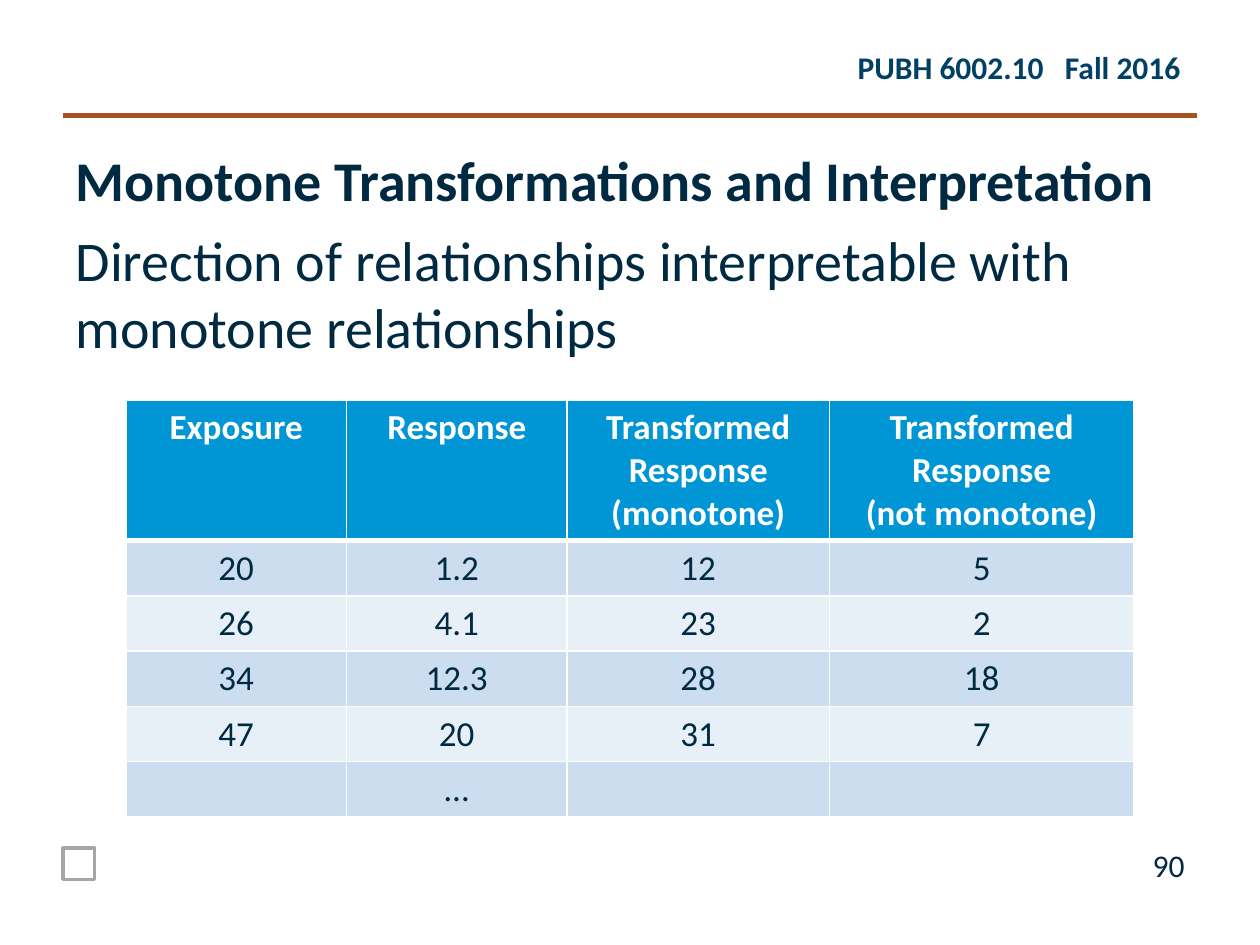
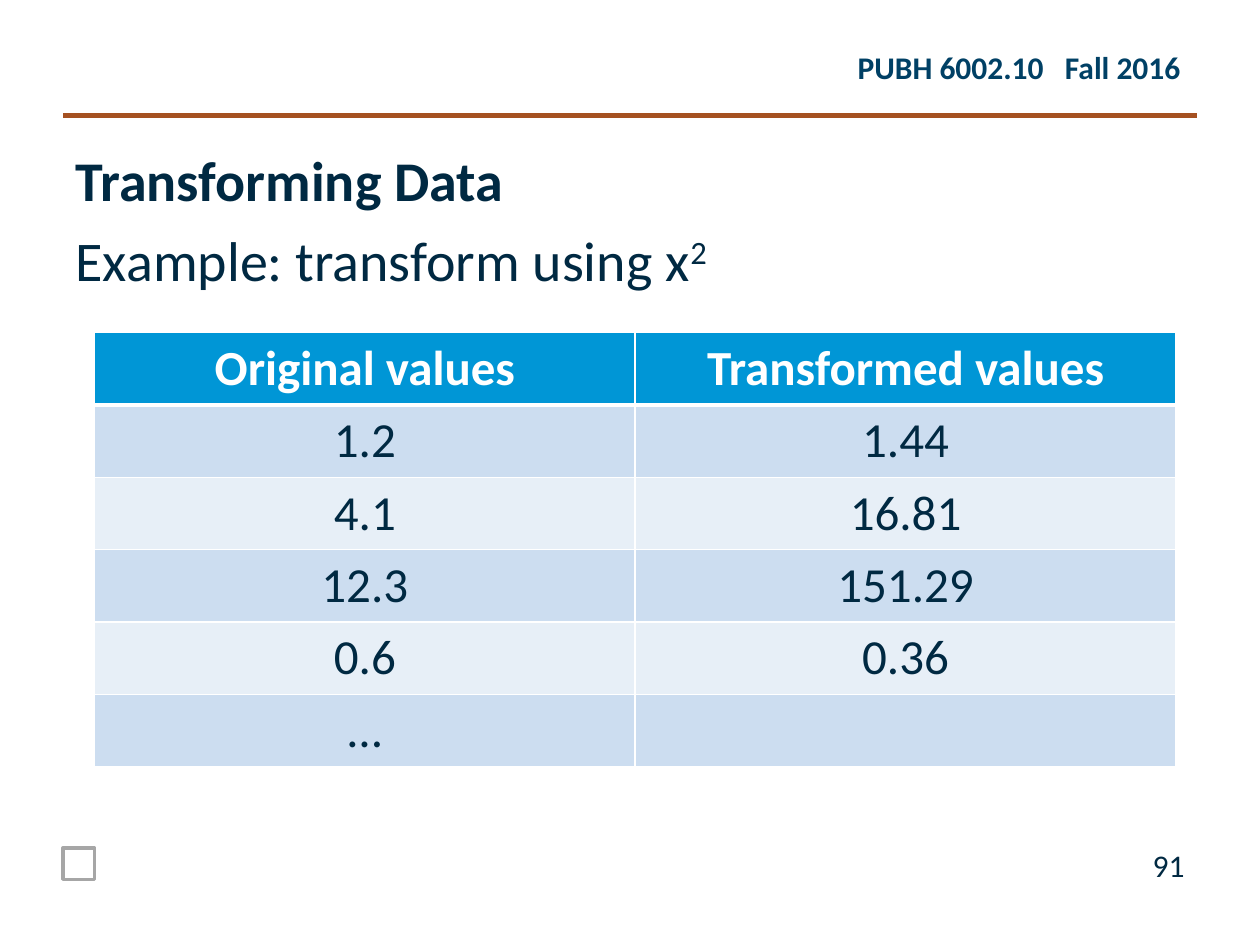
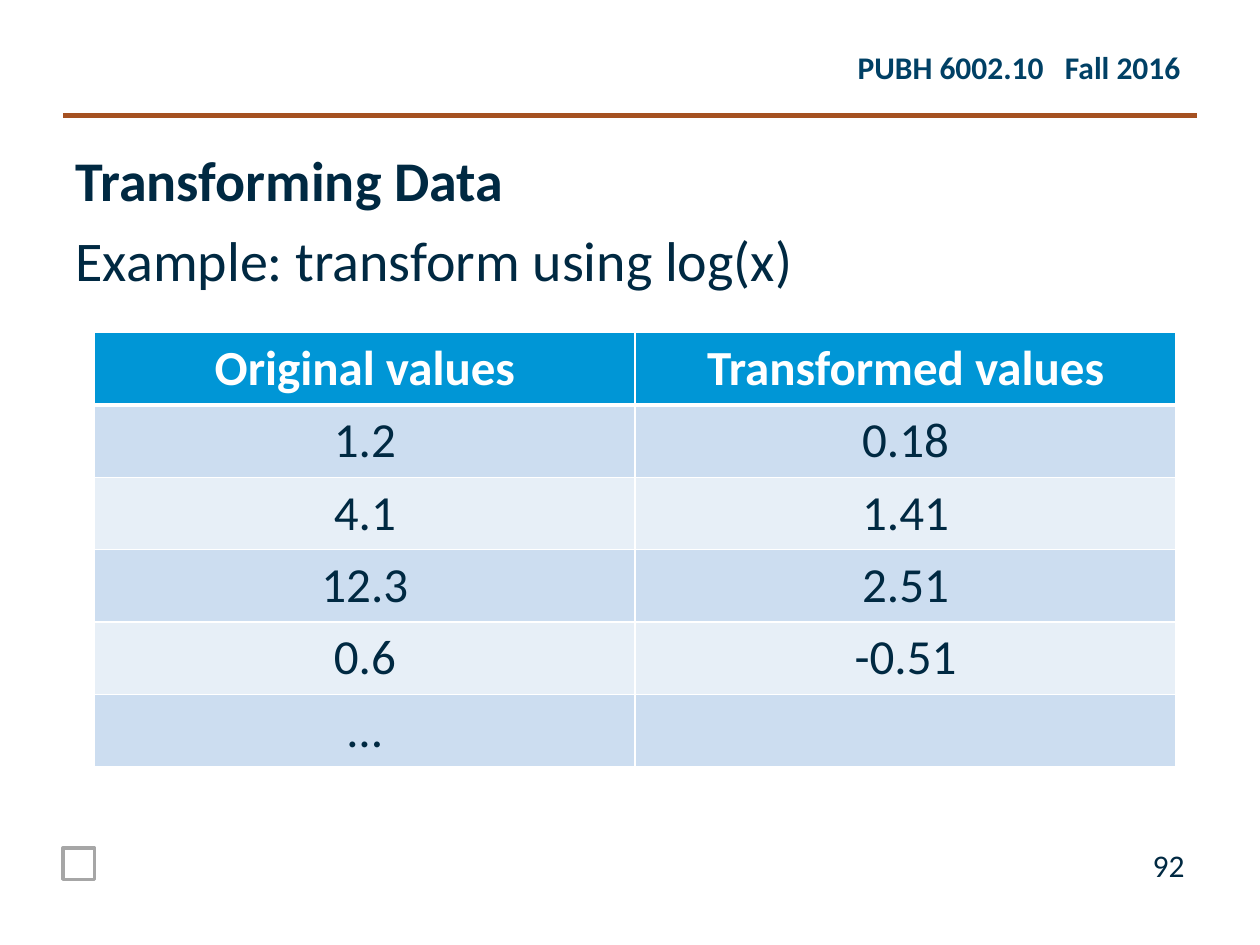
from lxml import etree
from pptx import Presentation
from pptx.dml.color import RGBColor
from pptx.enum import shapes, text
from pptx.oxml import ns
from pptx.util import Pt

FONT = "Calibri"
NAVY = RGBColor(0x00, 0x29, 0x42)
BLUE = RGBColor(0x00, 0x40, 0x65)
RUST = RGBColor(0xA5, 0x51, 0x21)
GRAY = RGBColor(0xA6, 0xA6, 0xA6)
WHITE = RGBColor(0xFF, 0xFF, 0xFF)
HEADER_FILL = RGBColor(0x00, 0x96, 0xD6)
BAND_FILLS = RGBColor(0xCC, 0xDD, 0xF0), RGBColor(0xE7, 0xEF, 0xF7)

LEFT, WIDTH = 36, 648
TITLE_TOP, BODY_TOP = 79.5, 125
FIRST_NUMBER = 90
LINE_FACTOR, CELL_MARGINS = 1.22, 7.2

TRANSFORM_HEADER = ["Original values", "Transformed values"]
TRANSFORM_BOX = dict(left=54, top=190, widths=[309, 309], size=28)

PAGES = [
    dict(
        title="Monotone Transformations and Interpretation",
        body="Direction of relationships interpretable with monotone relationships",
        rows=[
            ["Exposure", "Response", "Transformed\nResponse\n(monotone)",
             "Transformed\nResponse\n(not monotone)"],
            ["20", "1.2", "12", "5"],
            ["26", "4.1", "23", "2"],
            ["34", "12.3", "28", "18"],
            ["47", "20", "31", "7"],
            ["", "…", "", ""],
        ],
        table=dict(left=72, top=228.5, widths=[126, 126, 150, 174], size=20),
    ),
    dict(
        title="Transforming Data",
        body="Example: transform using x",
        exponent="2",
        rows=[TRANSFORM_HEADER, ["1.2", "1.44"], ["4.1", "16.81"],
              ["12.3", "151.29"], ["0.6", "0.36"], ["…", ""]],
        table=TRANSFORM_BOX,
    ),
    dict(
        title="Transforming Data",
        body="Example: transform using log(x)",
        rows=[TRANSFORM_HEADER, ["1.2", "0.18"], ["4.1", "1.41"],
              ["12.3", "2.51"], ["0.6", "-0.51"], ["…", ""]],
        table=TRANSFORM_BOX,
    ),
]


def format_text(frame, size, color, bold=False, align=text.PP_ALIGN.LEFT):
    for para in frame.paragraphs:
        para.alignment = align
        for span in para.runs:
            font = span.font
            font.name, font.size, font.bold = FONT, Pt(size), bold
            font.color.rgb = color


def place(shape, left, top, width, height):
    shape.left, shape.top = Pt(left), Pt(top)
    shape.width, shape.height = Pt(width), Pt(height)


def add_label(page, words, left, top, width, color, **style):
    box = page.shapes.add_textbox(Pt(left), Pt(top), Pt(width), Pt(29))
    frame = box.text_frame
    frame.word_wrap = False
    frame.text = words
    format_text(frame, 18, color, **style)


def add_frame(page, number):
    """Add the course label, top rule, corner square and page number."""
    right = LEFT + WIDTH
    rule = page.shapes.add_connector(
        shapes.MSO_CONNECTOR.STRAIGHT, Pt(LEFT), Pt(66), Pt(right), Pt(66))
    rule.line.color.rgb = RUST
    rule.line.width = Pt(3)
    etree.SubElement(rule._element.spPr, ns.qn("a:effectLst"))

    add_label(page, "PUBH 6002.10   Fall 2016", right - 201, 24, 201, BLUE, bold=True)
    add_label(page, str(number), right - 36, 480, 36, NAVY, align=text.PP_ALIGN.RIGHT)

    square = page.shapes.add_shape(
        shapes.MSO_SHAPE.RECTANGLE, Pt(LEFT), Pt(484.5), Pt(18), Pt(18))
    square.shadow.inherit = False
    square.fill.background()
    square.line.color.rgb = GRAY
    square.line.width = Pt(2)


def fill_placeholder(holder, words, top, height, bold=False, exponent=""):
    place(holder, LEFT, top, WIDTH, height)
    frame = holder.text_frame
    frame.text = words
    frame.word_wrap = True
    frame.auto_size = text.MSO_AUTO_SIZE.NONE
    frame.vertical_anchor = text.MSO_ANCHOR.TOP
    para = frame.paragraphs[0]
    para.space_before = Pt(0)
    if exponent:
        span = para.add_run()
        span.text = exponent
        span._r.get_or_add_rPr().set("baseline", "30000")
    format_text(frame, 32, NAVY, bold)
    properties = para._p.get_or_add_pPr()
    properties.set("marL", "0")
    properties.set("indent", "0")
    etree.SubElement(properties, ns.qn("a:buNone"))


def set_borders(cell, top, bottom):
    """Draw white cell borders, with top and bottom widths in points."""
    properties = cell._tc.get_or_add_tcPr()
    for side, width in dict(L=1, R=1, T=top, B=bottom).items():
        line = etree.SubElement(properties, ns.qn(f"a:ln{side}"), w=str(Pt(width)))
        fill = etree.SubElement(line, ns.qn("a:solidFill"))
        etree.SubElement(fill, ns.qn("a:srgbClr"), val=str(WHITE))


def add_data_table(page, rows, left, top, widths, size):
    heights = [max(words.count("\n") + 1 for words in row) * size * LINE_FACTOR
               + CELL_MARGINS for row in rows]
    table = page.shapes.add_table(
        len(rows), len(widths), Pt(left), Pt(top), Pt(sum(widths)), Pt(sum(heights))).table
    for column, width in zip(table.columns, widths):
        column.width = Pt(width)
    for index, (row, height) in enumerate(zip(rows, heights)):
        table.rows[index].height = Pt(height)
        header = index == 0
        for cell, words in zip(table.rows[index].cells, row):
            cell.text_frame.text = words
            format_text(cell.text_frame, size, WHITE if header else NAVY,
                        header, text.PP_ALIGN.CENTER)
            set_borders(cell, top=3 if index == 1 else 1, bottom=3 if header else 1)
            cell.fill.solid()
            cell.fill.fore_color.rgb = HEADER_FILL if header else BAND_FILLS[(index - 1) % 2]


def add_table_page(deck, number, title, body, rows, table, exponent=""):
    page = deck.slides.add_slide(deck.slide_layouts[1])
    add_frame(page, number)
    fill_placeholder(page.shapes.title, title, TITLE_TOP, BODY_TOP - TITLE_TOP, bold=True)
    fill_placeholder(page.placeholders[1], body, BODY_TOP, table["top"] - BODY_TOP,
                     exponent=exponent)
    add_data_table(page, rows, **table)


def main():
    deck = Presentation()
    deck.slide_width, deck.slide_height = Pt(720), Pt(540)
    for number, content in enumerate(PAGES, FIRST_NUMBER):
        add_table_page(deck, number, **content)
    deck.save("out.pptx")


if __name__ == "__main__":
    main()
